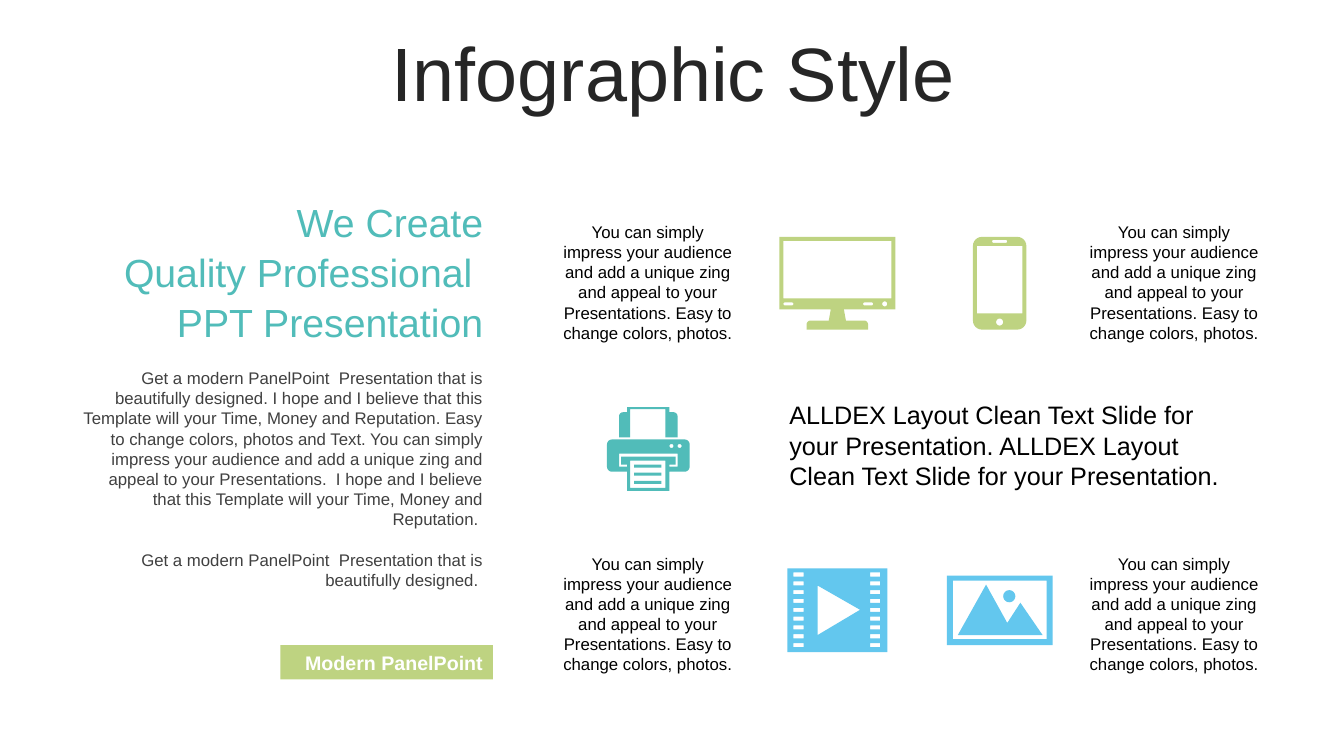
import math
from pptx import Presentation, util as u
from pptx.dml.color import RGBColor
from pptx.enum import shapes, text

GREEN, TEAL, BLUE = "BED381", "51BCB9", "63C7EE"
CAPTION = ("You can simply impress your audience and add a unique zing and appeal "
           "to your Presentations. Easy to change colors, photos.")
SLOGAN = "ALLDEX Layout Clean Text Slide for your Presentation."
HEADLINE = ["We Create", "Quality Professional ", "PPT Presentation"]
STORY = [
    "Get a modern PanelPoint  Presentation that is beautifully designed. I hope and I "
    "believe that this Template will your Time, Money and Reputation. Easy to change "
    "colors, photos and Text. You can simply impress your audience and add a unique zing "
    "and appeal to your Presentations.  I hope and I believe that this Template will your "
    "Time, Money and Reputation. ",
    "Get a modern PanelPoint  Presentation that is beautifully designed. ",
]


def color(value):
    return RGBColor.from_string(value)


def paint(shape, fill):
    shape.shadow.inherit = False
    shape.fill.solid()
    shape.fill.fore_color.rgb = color(fill)
    shape.line.fill.background()


def write(shape, lines, size, ink, align, anchor="TOP", bold=False, gap=0, spacing=None):
    frame = shape.text_frame
    frame.word_wrap = True
    frame.vertical_anchor = text.MSO_ANCHOR[anchor]
    frame.text = "\n".join(lines)
    for index, paragraph in enumerate(frame.paragraphs):
        paragraph.alignment = text.PP_ALIGN[align]
        paragraph.space_before = u.Pt(gap if index else 0)
        if spacing:
            paragraph.line_spacing = spacing
        for run in paragraph.runs:
            run.font.name = "Arial"
            run.font.size = u.Pt(size)
            run.font.bold = bold
            run.font.color.rgb = color(ink)


def textbox(slide, left, top, width, height):
    return slide.shapes.add_textbox(*map(u.Inches, (left, top, width, height)))


def arc(x, y, radius, start):
    angles = [math.radians(start + 15 * step) for step in range(7)]
    return [(x + radius * math.cos(a), y + radius * math.sin(a)) for a in angles]


def box(left, top, right, bottom):
    return [(left, top), (right, top), (right, bottom), (left, bottom)]


def rounded(left, top, right, bottom, radius):
    west, north, east, south = left + radius, top + radius, right - radius, bottom - radius
    return (arc(west, north, radius, 180) + arc(east, north, radius, 270)
            + arc(east, south, radius, 0) + arc(west, south, radius, 90))


def disc(x, y, radius):
    return rounded(x - radius, y - radius, x + radius, y + radius, radius)


def icon(slide, left, top, fill, outlines):
    builder = None
    for outline in outlines:
        points = [(u.Inches(left + x), u.Inches(top + y)) for x, y in outline]
        if builder is None:
            builder = slide.shapes.build_freeform(*points[0])
        else:
            builder.move_to(*points[0])
        builder.add_line_segments(points[1:], close=True)
    paint(builder.convert_to_shape(), fill)


def phone(slide, left, top):
    icon(slide, left, top, GREEN, [
        rounded(0, 0, 0.53, 0.92, 0.09),
        box(0.04, 0.09, 0.49, 0.76),
        rounded(0.19, 0.03, 0.34, 0.06, 0.015),
        disc(0.265, 0.845, 0.035),
    ])


def monitor(slide, left, top):
    case = ([(0, 0), (1.15, 0), (1.15, 0.72), (0.64, 0.72), (0.66, 0.83)]
            + arc(0.84, 0.87, 0.04, 270) + [(0.88, 0.92), (0.27, 0.92)]
            + arc(0.31, 0.87, 0.04, 180) + [(0.49, 0.83), (0.51, 0.72), (0, 0.72)])
    icon(slide, left, top, GREEN, [
        case,
        box(0.04, 0.04, 1.11, 0.61),
        rounded(0.04, 0.65, 0.14, 0.68, 0.015),
        rounded(0.83, 0.65, 0.93, 0.68, 0.015),
        disc(1.045, 0.665, 0.025),
    ])


def printer(slide, left, top):
    body = (arc(0.05, 0.37, 0.05, 180) + arc(0.77, 0.37, 0.05, 270)
            + arc(0.77, 0.59, 0.05, 0)
            + [(0.62, 0.64), (0.62, 0.83), (0.2, 0.83), (0.2, 0.64)]
            + arc(0.05, 0.59, 0.05, 90))
    feeder = ([(0.2, 0), (0.62, 0), (0.62, 0.05)] + arc(0.66, 0.09, 0.04, 270)
              + [(0.7, 0.3), (0.58, 0.3), (0.58, 0.02), (0.23, 0.02), (0.23, 0.3), (0.12, 0.3)]
              + arc(0.16, 0.09, 0.04, 180) + [(0.2, 0.05)])
    slot = [(0.12, 0.46), (0.12, 0.59), (0.2, 0.59), (0.2, 0.57), (0.14, 0.57), (0.14, 0.49),
            (0.68, 0.49), (0.68, 0.57), (0.62, 0.57), (0.62, 0.59), (0.7, 0.59), (0.7, 0.46)]
    print_lines = [box(0.27, y, 0.54, y + 0.03) for y in (0.57, 0.65, 0.73)]
    icon(slide, left, top, TEAL, [
        body, feeder, slot, box(0.23, 0.53, 0.58, 0.8),
        disc(0.64, 0.385, 0.02), disc(0.72, 0.385, 0.02), *print_lines,
    ])


def film(slide, left, top):
    holes = [box(x, 0.04 + 0.0875 * row, x + 0.1, 0.08 + 0.0875 * row)
             for x in (0.06, 0.82) for row in range(9)]
    play = [(0.3, 0.17), (0.3, 0.66), (0.72, 0.41)]
    icon(slide, left, top, BLUE, [box(0, 0, 0.99, 0.83), play, *holes])


def photo(slide, left, top):
    mountains = [(0.39, 0.09), (0.6, 0.47), (0.73, 0.27), (0.95, 0.59), (0.11, 0.59)]
    icon(slide, left, top, BLUE, [
        box(0, 0, 1.05, 0.69), box(0.06, 0.05, 0.99, 0.63), mountains, disc(0.62, 0.205, 0.06),
    ])


def heading(slide, left, top, width, height):
    title = slide.shapes.title
    title.left, title.top, title.width, title.height = map(
        u.Inches, (left, top, width, height))
    write(title, ["Infographic Style"], 54, "262626", "CENTER", "MIDDLE", spacing=0.9)


def introduction(slide, left, top, width):
    headline = textbox(slide, left, top, width, 2.05)
    write(headline, HEADLINE, 28, TEAL, "RIGHT", "MIDDLE", gap=5.6, spacing=u.Pt(30))
    story = textbox(slide, left, top + 1.9, width, 2.32)
    write(story, STORY, 12, "404040", "RIGHT", gap=14.4)
    badge = slide.shapes.add_shape(
        shapes.MSO_SHAPE.RECTANGLE,
        *map(u.Inches, (left + width - 2.11, top + 4.7, 2.11, 0.34)))
    paint(badge, GREEN)
    write(badge, ["Modern PanelPoint"], 14, "FFFFFF", "RIGHT", "MIDDLE", bold=True)


def devices(slide, left, top):
    monitor(slide, left + 2.26, top + 0.2)
    phone(slide, left + 4.18, top + 0.2)
    printer(slide, left + 0.55, top + 1.89)
    film(slide, left + 2.34, top + 3.49)
    photo(slide, left + 3.92, top + 3.56)
    for row in range(2):
        for column in range(2):
            caption = textbox(slide, left + 5.22 * column, top + 3.29 * row, 1.91, 1.31)
            write(caption, [CAPTION], 12, "000000", "CENTER")
    slogan = textbox(slide, left + 2.26, top + 1.76, 4.75, 1.01)
    write(slogan, [f"{SLOGAN} {SLOGAN}"], 18, "000000", "LEFT", "MIDDLE")


def main():
    deck = Presentation()
    deck.slide_width, deck.slide_height = u.Inches(13.33), u.Inches(7.5)
    slide = deck.slides.add_slide(deck.slide_layouts[5])
    heading(slide, 0.35, 0.37, 12.66, 0.79)
    introduction(slide, 0.72, 1.7, 4.17)
    devices(slide, 5.47, 2.15)
    deck.save("out.pptx")


if __name__ == "__main__":
    main()
